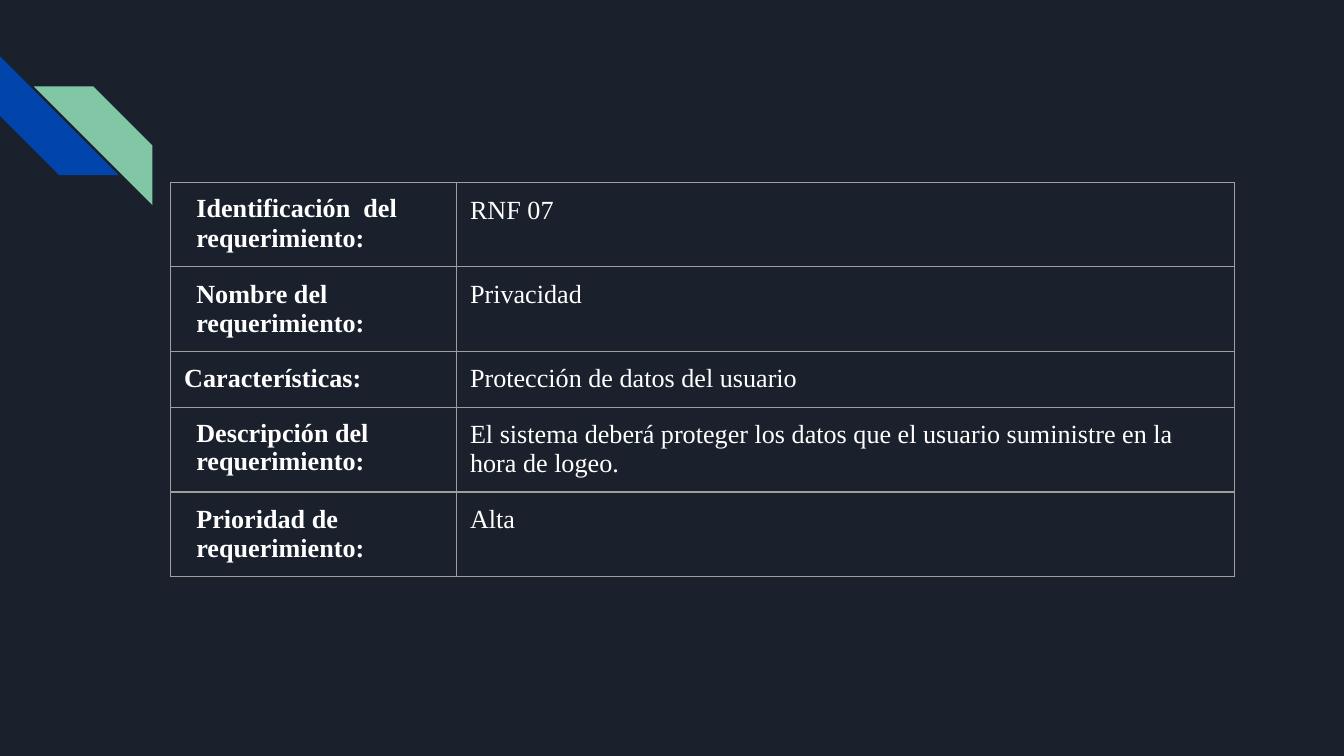
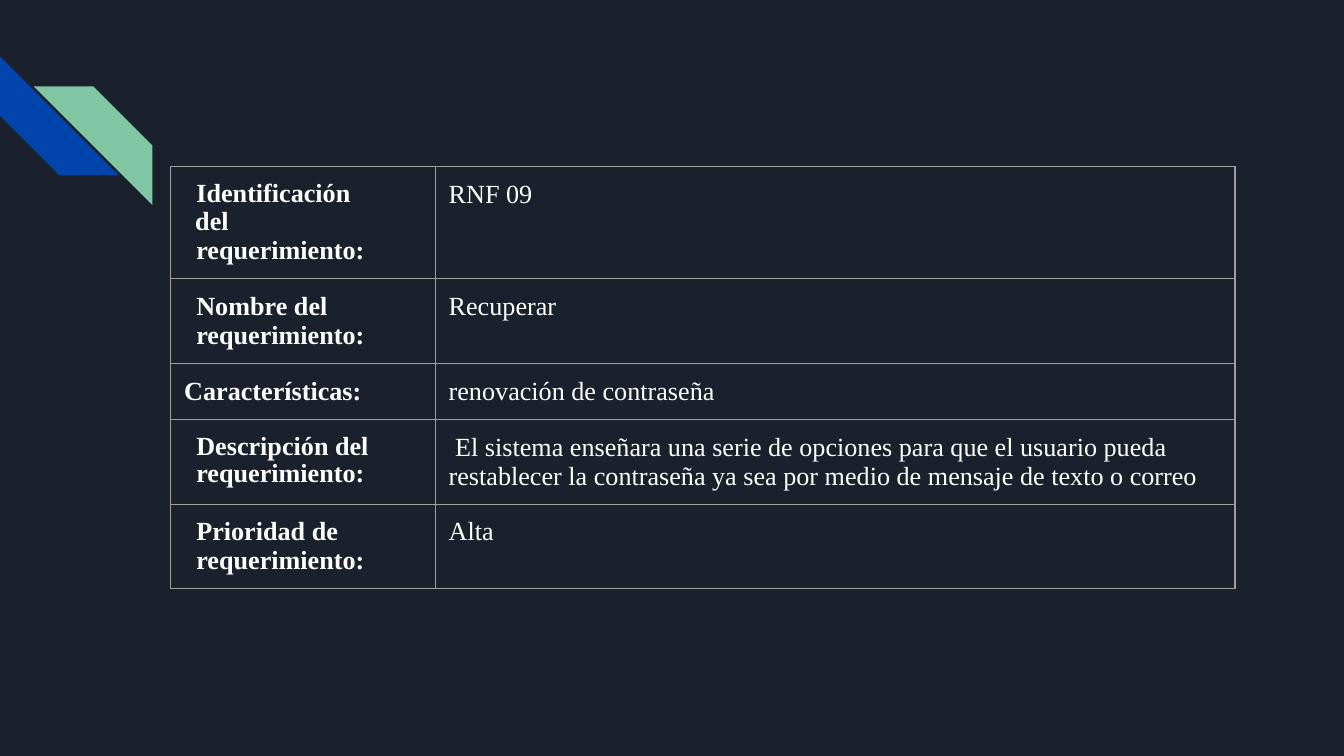
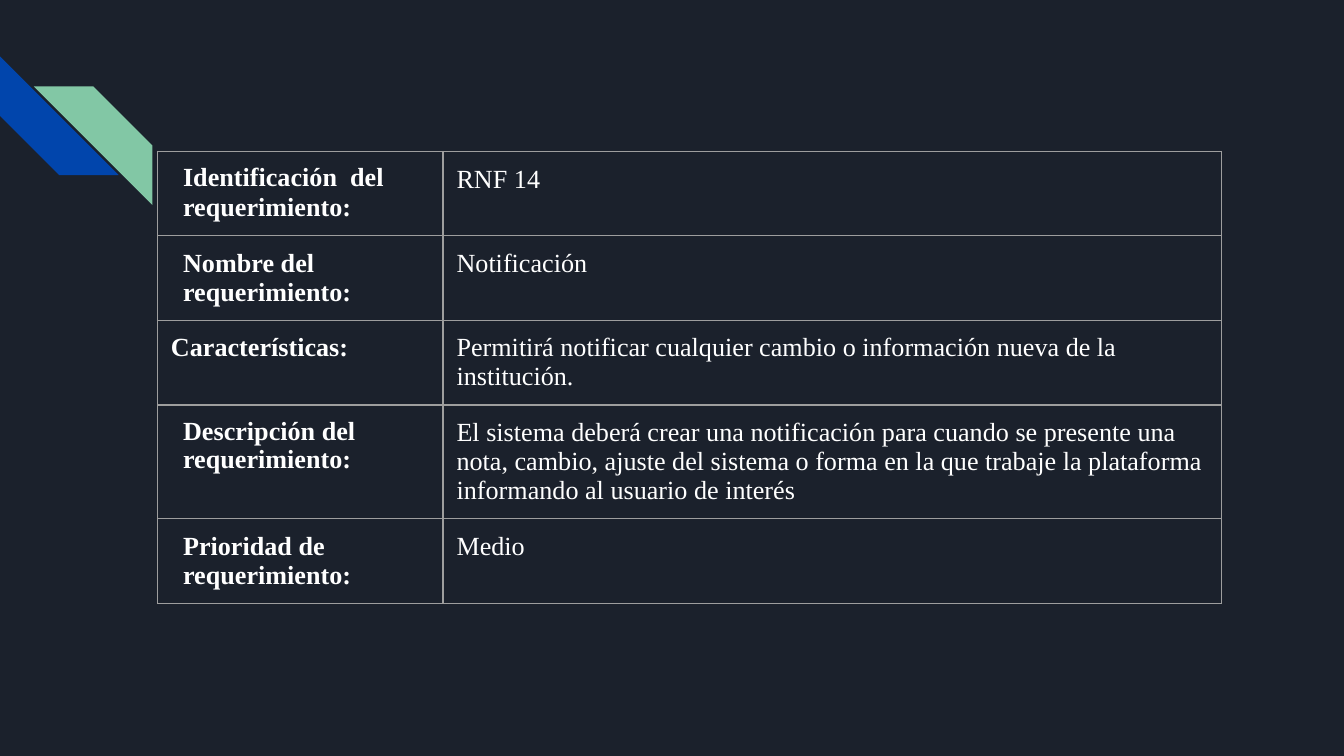
from lxml.etree import SubElement
from pptx import Presentation
from pptx.dml.color import RGBColor
from pptx.enum.shapes import MSO_SHAPE as Shape
from pptx.oxml.ns import qn
from pptx.util import Pt

BACKGROUND = "1B212C"
BLUE = "0145AC"
GREEN = "82C7A5"
WHITE = "FFFFFF"
GRID = "9E9E9E"
FONT = "Times New Roman"
ROW_HEIGHT = 30
INSET = 7.2
MARGIN = 6.5
TIGHT = 0.96

LABELS = [
    ["Identificación  del", "requerimiento:"],
    ["Nombre del", "requerimiento:"],
    ["Características:"],
    ["Descripción del  requerimiento:"],
    ["Prioridad de", "requerimiento:"],
]

REQUIREMENTS = [
    ((91.5, 97.7), (153.1, 416.8), [
        "RNF 07",
        "Privacidad",
        "Protección de datos del usuario",
        "El sistema deberá proteger los datos que el usuario suministre en la "
        "hora de logeo.",
        "Alta",
    ]),
    ((91.5, 89.4), (141.7, 428.4), [
        "RNF 09",
        "Recuperar",
        "renovación de contraseña",
        " El sistema enseñara una serie de opciones para que el usuario pueda "
        "restablecer la contraseña ya sea por medio de mensaje de texto o correo",
        "Alta",
    ]),
    ((84.4, 81.1), (153, 416.9), [
        "RNF 14",
        "Notificación",
        "Permitirá notificar cualquier cambio o información nueva de la "
        "institución.",
        "El sistema deberá crear una notificación para cuando se presente una "
        "nota, cambio, ajuste del sistema o forma en la que trabaje la "
        "plataforma informando al usuario de interés",
        "Medio",
    ]),
]


def color(value):
    return RGBColor.from_string(value)


def paint(fill, value):
    fill.solid()
    fill.fore_color.rgb = color(value)


def add_stripes(s, left, top):
    size = 63.6
    for dx, dy, rotation, value in ((0, 0, 270, BLUE), (18.1, 16.1, 90, GREEN)):
        sp = s.shapes.add_shape(
            Shape.DIAGONAL_STRIPE, Pt(left + dx), Pt(top + dy), Pt(size), Pt(size))
        sp.rotation = rotation
        sp.shadow.inherit = False
        sp.line.fill.background()
        paint(sp.fill, value)


def style_cell(cell):
    cell.margin_left = cell.margin_right = Pt(INSET)
    cell.margin_top = cell.margin_bottom = Pt(INSET)
    tc_pr = cell._tc.get_or_add_tcPr()
    for side in ("lnL", "lnR", "lnT", "lnB"):
        ln = SubElement(tc_pr, qn(f"a:{side}"), w=str(Pt(0.75)))
        fill = SubElement(ln, qn("a:solidFill"))
        SubElement(fill, qn("a:srgbClr"), val=GRID)
    cell.fill.background()


def write_cell(cell, text, bold):
    tf = cell.text_frame
    tf.text = text
    for p in tf.paragraphs:
        for r in p.runs:
            r.font.name = FONT
            r.font.size = Pt(14)
            r.font.bold = bold
            r.font.color.rgb = color(WHITE)


def set_indents(p, **lengths):
    p_pr = p._p.get_or_add_pPr()
    for name, length in lengths.items():
        p_pr.set(name, str(Pt(length)))


def indent_label(cell, row):
    paragraphs = cell.text_frame.paragraphs
    for p in paragraphs:
        set_indents(p, marL=MARGIN)
    if row in (0, 3):
        paragraphs[0].line_spacing = TIGHT
    if row == 0:
        set_indents(paragraphs[0], marL=5.9, marR=19.4, indent=0.6)
        paragraphs[1].space_before = Pt(0.3)


def add_requirement_table(s, left, top, widths, values):
    table = s.shapes.add_table(
        len(values), len(widths), Pt(left), Pt(top),
        Pt(sum(widths)), Pt(ROW_HEIGHT * len(values))).table
    table.first_row = table.horz_banding = False
    for column, width in zip(table.columns, widths):
        column.width = Pt(width)
    for row, (label, value) in enumerate(zip(LABELS, values)):
        table.rows[row].height = Pt(ROW_HEIGHT)
        label_cell, value_cell = table.cell(row, 0), table.cell(row, 1)
        write_cell(label_cell, "\n".join(label), True)
        write_cell(value_cell, value, False)
        if row != 2:
            indent_label(label_cell, row)
        for cell in (label_cell, value_cell):
            style_cell(cell)


def add_requirement_slide(prs, position, widths, values):
    s = prs.slides.add_slide(prs.slide_layouts[6])
    paint(s.background.fill, BACKGROUND)
    add_stripes(s, 0, 30.2)
    add_requirement_table(s, *position, widths, values)


def main():
    prs = Presentation()
    prs.slide_width, prs.slide_height = Pt(720), Pt(405)
    for position, widths, values in REQUIREMENTS:
        add_requirement_slide(prs, position, widths, values)
    prs.save("out.pptx")


if __name__ == "__main__":
    main()
